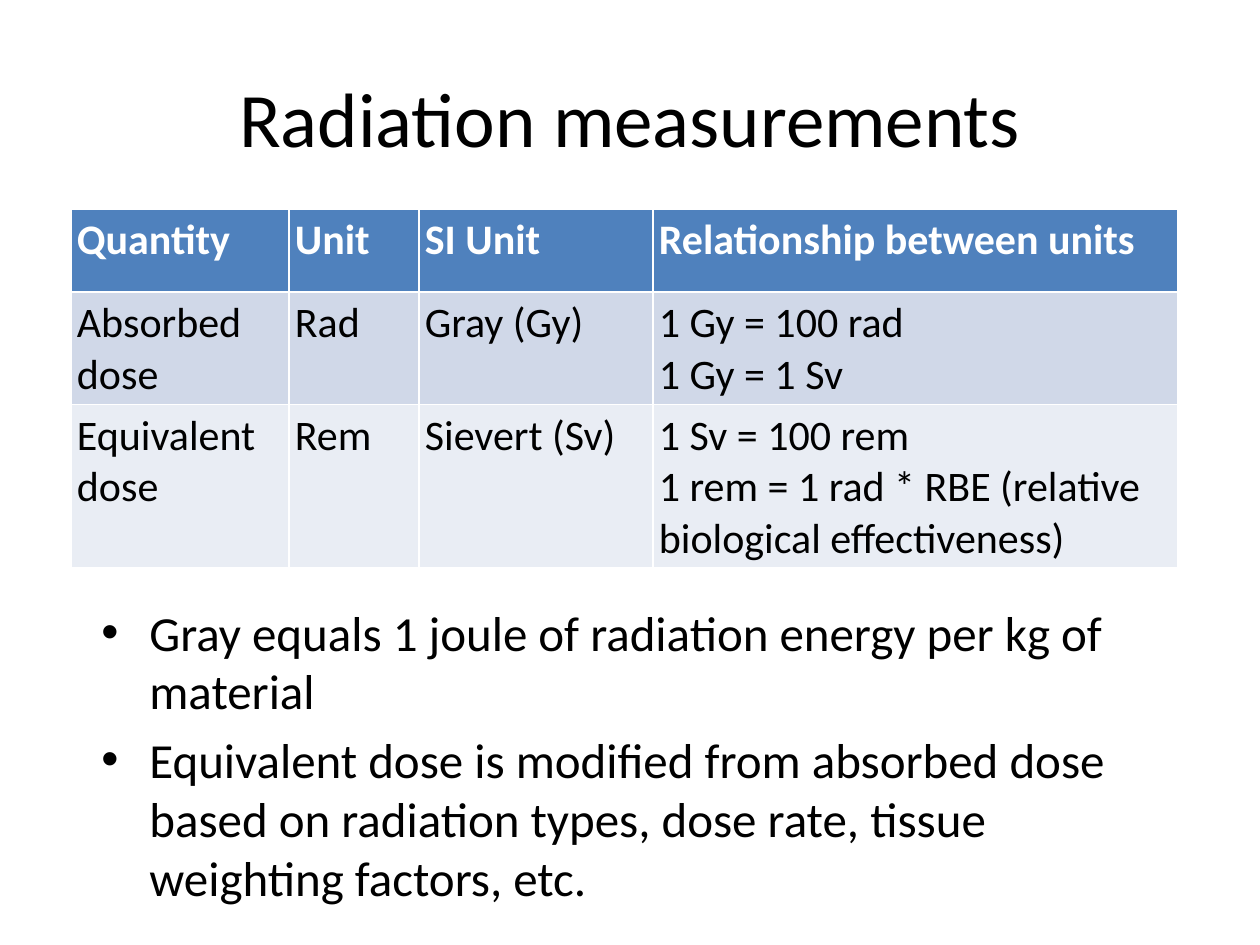
"""Build a slide on radiation measurements with a unit table and two bullets."""
from lxml import etree
from pptx import Presentation
from pptx.dml.color import RGBColor
from pptx.enum import text
from pptx.oxml import ns
from pptx.util import Pt

PX = 914400 // 126
COLORS = {
    "ink": "000000",
    "header_ink": "FFFFFF",
    "header": "4F81BD",
    "absorbed": "D0D8E8",
    "equivalent": "E9EDF4",
}


def write(frame, lines, size, color="ink", bold=False, align=text.PP_ALIGN.LEFT,
          anchor=text.MSO_ANCHOR.TOP, before=0, bullet=None, hang=0):
    frame.word_wrap = True
    frame.vertical_anchor = anchor
    for index, line in enumerate(lines):
        paragraph = frame.add_paragraph() if index else frame.paragraphs[0]
        paragraph.alignment = align
        paragraph.space_before = Pt(before)
        run = paragraph.add_run()
        run.text = line
        run.font.name = "Calibri"
        run.font.size = Pt(size)
        run.font.bold = bold
        run.font.color.rgb = RGBColor.from_string(COLORS[color])
        if bullet:
            properties = paragraph._p.get_or_add_pPr()
            properties.set("marL", str(hang * PX))
            properties.set("indent", str(-hang * PX))
            etree.SubElement(properties, ns.qn("a:buFont"), typeface="Arial")
            etree.SubElement(properties, ns.qn("a:buChar"), char=bullet)


deck = Presentation()
deck.slide_width, deck.slide_height = 1260 * PX, 945 * PX
slide = deck.slides.add_slide(deck.slide_layouts[6])

title = slide.shapes.add_textbox(63 * PX, 38 * PX, 1134 * PX, 157 * PX)
write(title.text_frame, ["Radiation measurements"], 44,
      align=text.PP_ALIGN.CENTER, anchor=text.MSO_ANCHOR.MIDDLE)

column_widths = [218, 130, 234, 525]
row_height = 83
measurements = [
    ("header", ["Quantity", "Unit", "SI Unit", "Relationship between units"]),
    ("absorbed", ["Absorbed dose", "Rad", "Gray (Gy)",
                  "1 Gy = 100 rad\n1 Gy = 1 Sv"]),
    ("equivalent", ["Equivalent dose", "Rem", "Sievert (Sv)",
                    "1 Sv = 100 rem\n1 rem = 1 rad * RBE (relative biological effectiveness)"]),
]
units = slide.shapes.add_table(
    len(measurements), len(column_widths), 71 * PX, 209 * PX,
    sum(column_widths) * PX, len(measurements) * row_height * PX).table
for column, width in zip(units.columns, column_widths):
    column.width = width * PX
for row, (kind, entries) in zip(units.rows, measurements):
    row.height = row_height * PX
    is_header = kind == "header"
    for cell, entry in zip(row.cells, entries):
        cell.margin_left = cell.margin_right = 6 * PX
        cell.margin_top = cell.margin_bottom = 6 * PX
        cell.fill.solid()
        cell.fill.fore_color.rgb = RGBColor.from_string(COLORS[kind])
        write(cell.text_frame, entry.split("\n"), 24, bold=is_header,
              color="header_ink" if is_header else "ink")

explanations = slide.shapes.add_textbox(89 * PX, 596 * PX, 1056 * PX, 338 * PX)
write(explanations.text_frame, [
    "Gray equals 1 joule of radiation energy per kg of material",
    "Equivalent dose is modified from absorbed dose based on radiation types, "
    "dose rate, tissue weighting factors, etc.",
], 28, before=5.6, bullet="•", hang=48)

deck.save("out.pptx")
